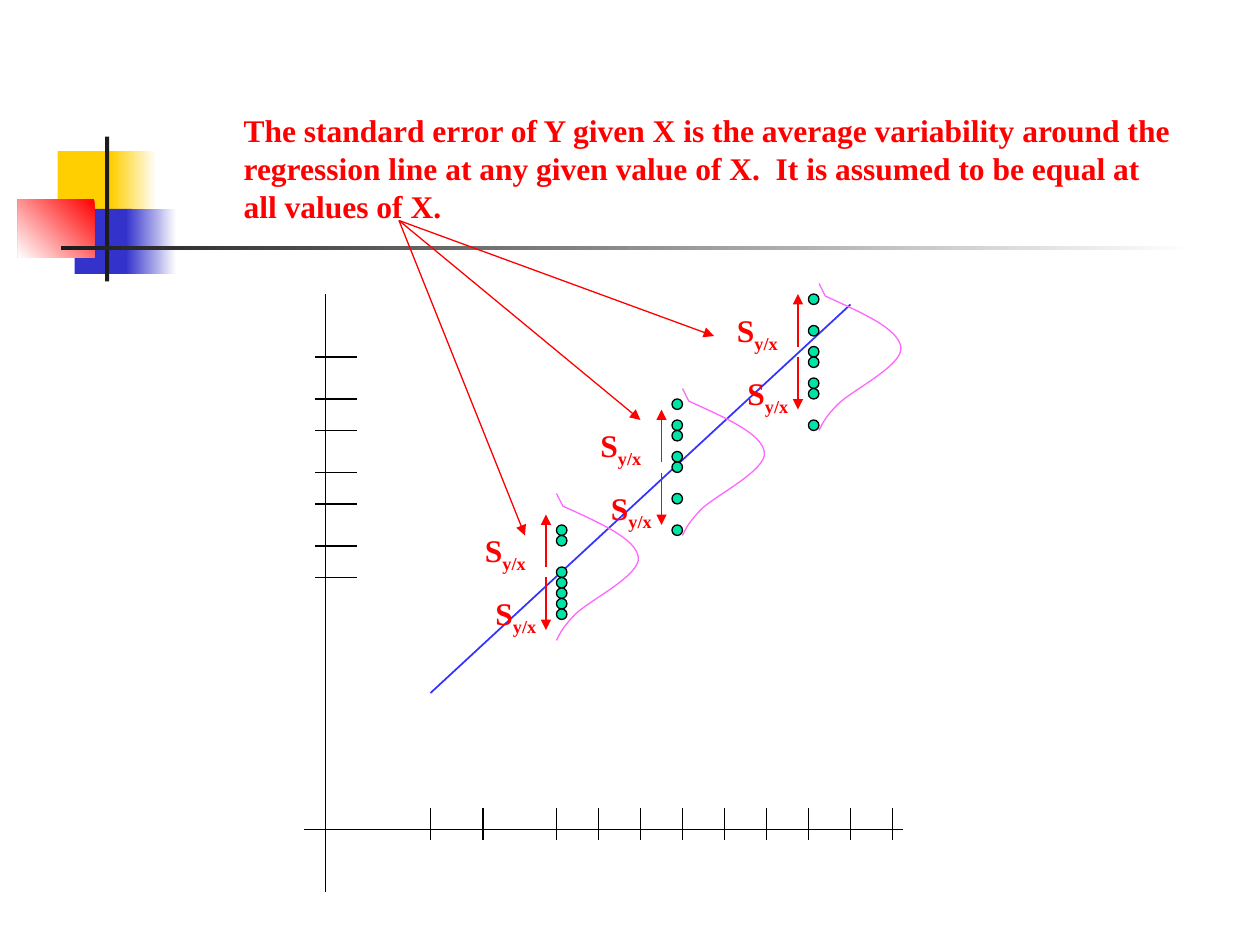
from lxml.etree import SubElement
from pptx import Presentation
from pptx.dml.color import RGBColor
from pptx.enum.shapes import MSO_CONNECTOR, MSO_SHAPE
from pptx.enum.text import MSO_ANCHOR, MSO_AUTO_SIZE, PP_ALIGN
from pptx.oxml.ns import qn
from pptx.util import Pt

PX = 7620  # EMU; 120 px to the inch

WHITE = RGBColor(0xFF, 0xFF, 0xFF)
BLACK = RGBColor(0x00, 0x00, 0x00)
CHARCOAL = RGBColor(0x1C, 0x1C, 0x1C)
RED = RGBColor(0xFF, 0x00, 0x00)
YELLOW = RGBColor(0xFF, 0xCF, 0x01)
NAVY = RGBColor(0x33, 0x33, 0xCC)
BLUE = RGBColor(0x33, 0x33, 0xFF)
GREEN = RGBColor(0x00, 0xE4, 0xA8)
PINK = RGBColor(0xFF, 0x66, 0xFF)

TITLE = (
    "The standard error of Y given X is the average variability around the "
    "regression line at any given value of X.  It is assumed to be equal at "
    "all values of X."
)

X_TICKS = (410, 460, *range(530, 851, 40))
Y_TICKS = (340, 380, 410, 450, 480, 520, 550)

# Arrow x, arrow centre y, top left of the bell curve, tops of the dots
SAMPLES = (
    (760, 330, (780, 270), (280, 310, 330, 340, 360, 370, 400)),
    (630, 440, (650, 370), (380, 400, 410, 430, 440, 470, 500)),
    (520, 540, (530, 470), (500, 510, 540, 550, 560, 570, 580)),
)

POINTER_START = (380, 210)
POINTER_ENDS = ((680, 320), (610, 400), (500, 510))

# Bell curve: a short straight stroke, then Bezier pieces (control, control, end)
BELL_STROKE = (6, 12)
BELL_PIECES = (
    ((41, 28), (76, 43), (78, 61)),
    ((80, 78), (31, 102), (18, 115)),
    ((5, 128), (2, 136), (0, 140)),
)


class SlideBuilder:
    def __init__(self, slide, font_name="Times New Roman", font_size=18):
        self.slide = slide
        self.shapes = slide.shapes
        self.font_name = font_name
        self.font_size = font_size

    def style_text(self, shape):
        frame = shape.text_frame
        frame.word_wrap = True
        frame.auto_size = MSO_AUTO_SIZE.NONE
        frame.vertical_anchor = MSO_ANCHOR.TOP
        paragraph = frame.paragraphs[0]
        paragraph.alignment = PP_ALIGN.LEFT
        font = paragraph.font
        font.name = self.font_name
        font.size = Pt(self.font_size)
        font.bold = True
        font.color.rgb = RED

    def title(self, text, left, top, width, height):
        shape = self.shapes.title
        shape.left, shape.top = left * PX, top * PX
        shape.width, shape.height = width * PX, height * PX
        shape.text_frame.text = text
        self.style_text(shape)

    def subscript_label(self, base, subscript, left, top):
        box = self.shapes.add_textbox(left * PX, top * PX, 100 * PX, 53 * PX)
        paragraph = box.text_frame.paragraphs[0]
        paragraph.add_run().text = base
        run = paragraph.add_run()
        run.text = subscript
        run._r.get_or_add_rPr().set("baseline", "-25000")
        self.style_text(box)

    def preset(self, kind, left, top, width, height):
        shape = self.shapes.add_shape(
            kind, left * PX, top * PX, width * PX, height * PX
        )
        shape.shadow.inherit = False
        return shape

    def block(self, color, left, top, width, height):
        shape = self.preset(MSO_SHAPE.RECTANGLE, left, top, width, height)
        shape.fill.solid()
        shape.fill.fore_color.rgb = color
        shape.line.fill.background()

    def fading_block(self, colors, angle, left, top, width, height):
        """Fill with two colours; the angle runs counter-clockwise."""
        shape = self.preset(MSO_SHAPE.RECTANGLE, left, top, width, height)
        shape.fill.gradient()
        shape.fill.gradient_angle = angle
        for stop, color in zip(shape.fill.gradient_stops, colors):
            stop.color.rgb = color
        shape.line.fill.background()

    def dot(self, left, top):
        shape = self.preset(MSO_SHAPE.OVAL, left, top, 10, 10)
        shape.fill.solid()
        shape.fill.fore_color.rgb = GREEN
        shape.line.color.rgb = BLACK
        shape.line.width = Pt(0.75)

    def line(self, start, end, color=BLACK, width=0.75, arrow=False):
        connector = self.shapes.add_connector(
            MSO_CONNECTOR.STRAIGHT, *(value * PX for value in (*start, *end))
        )
        connector.line.color.rgb = color
        connector.line.width = Pt(width)
        if arrow:
            outline = connector.line._get_or_add_ln()
            SubElement(outline, qn("a:tailEnd"), type="triangle")
        SubElement(connector._element.spPr, qn("a:effectLst"))

    def bell(self, left, top):
        """Draw straight pieces, then turn all but the first into Beziers."""
        builder = self.shapes.build_freeform(0, 0, scale=PX)
        ends = [piece[-1] for piece in BELL_PIECES]
        builder.add_line_segments([BELL_STROKE, *ends], close=False)
        shape = builder.convert_to_shape(left * PX, top * PX)
        path = next(shape._element.iter(qn("a:path")))
        for segment, piece in zip(path.findall(qn("a:lnTo"))[1:], BELL_PIECES):
            curve = SubElement(path, qn("a:cubicBezTo"))
            for x, y in piece:
                SubElement(curve, qn("a:pt"), x=str(x), y=str(y))
            path.replace(segment, curve)
        shape.shadow.inherit = False
        shape.fill.background()
        shape.line.color.rgb = PINK
        shape.line.width = Pt(0.75)


def draw_decoration(builder):
    builder.block(YELLOW, 55, 144, 58, 62)
    builder.fading_block((WHITE, YELLOW), 180, 106, 144, 43, 62)
    builder.block(NAVY, 71, 199, 55, 62)
    builder.fading_block((WHITE, NAVY), 180, 120, 199, 48, 62)
    builder.fading_block((RED, WHITE), 225, 17, 190, 73, 55)
    builder.block(CHARCOAL, 100, 130, 4, 138)
    builder.fading_block((WHITE, CHARCOAL), 180, 58, 234, 1080, 4)


def draw_axes(builder):
    builder.line((310, 280), (310, 850))
    builder.line((410, 660), (810, 290), BLUE, 1)
    builder.line((290, 790), (860, 790))
    for x in X_TICKS:
        builder.line((x, 770), (x, 800))
    for y in Y_TICKS:
        builder.line((300, y), (340, y))


def draw_sample(builder, x, y, bell_corner, dot_tops):
    for top in dot_tops:
        builder.dot(x + 10, top)
    builder.bell(*bell_corner)
    builder.line((x, y), (x, y - 50), RED, arrow=True)
    builder.line((x, y + 10), (x, y + 60), RED, arrow=True)
    builder.subscript_label("S", "y/x", x - 70, y - 40)
    builder.subscript_label("S", "y/x", x - 60, y + 20)


def main():
    presentation = Presentation()
    presentation.slide_width = 1200 * PX
    presentation.slide_height = 900 * PX
    slide = presentation.slides.add_slide(presentation.slide_layouts[5])
    builder = SlideBuilder(slide)

    draw_decoration(builder)
    draw_axes(builder)
    for sample in SAMPLES:
        draw_sample(builder, *sample)
    builder.title(TITLE, 220, 100, 910, 120)
    for end in POINTER_ENDS:
        builder.line(POINTER_START, end, RED, arrow=True)

    presentation.save("out.pptx")


if __name__ == "__main__":
    main()
